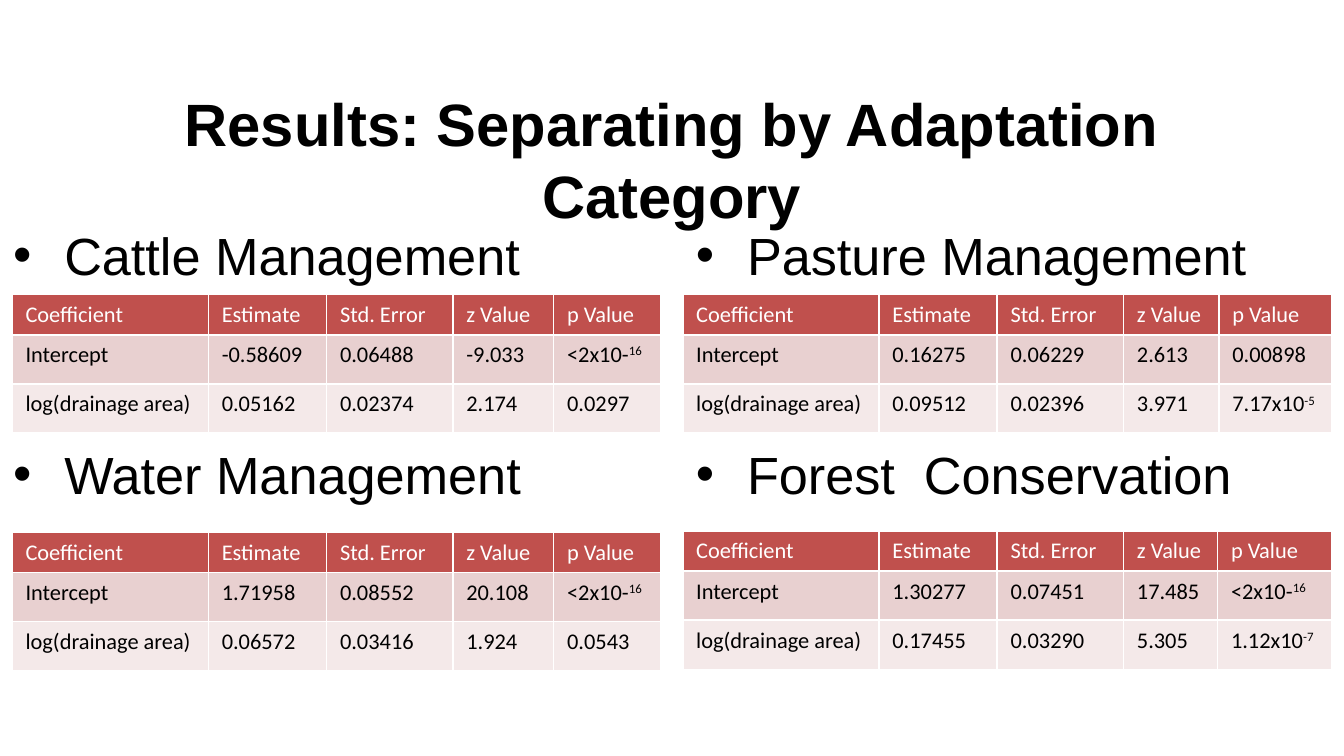
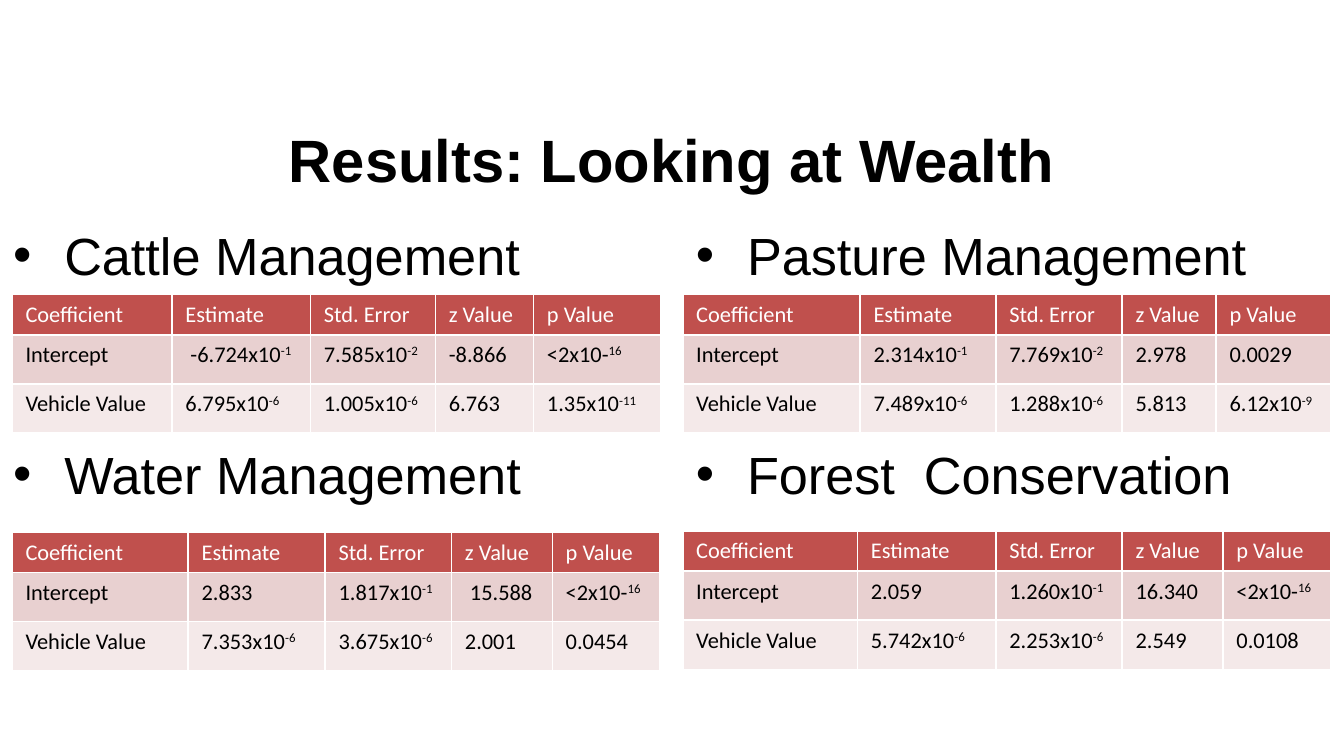
from dataclasses import dataclass

import pptx
import pptx.dml.color
import pptx.enum.text
import pptx.oxml
import pptx.oxml.ns
import pptx.presentation
import pptx.slide
import pptx.table
import pptx.text.text
import pptx.util

Inches = pptx.util.Inches
Pt = pptx.util.Pt


@dataclass(frozen=True)
class Theme:
    ink: str = "000000"
    white: str = "FFFFFF"
    header: str = "C0504D"
    bands: tuple[str, ...] = ("E8D0D0", "F4E9E9")
    heading_font: str = "Arial"
    table_font: str = "Calibri"
    title_size: int = 32
    heading_size: int = 28
    table_size: int = 12
    border: int = 1


@dataclass(frozen=True)
class Box:
    left: float
    top: float
    width: float
    height: float


@dataclass(frozen=True)
class HeadingPair:
    box: Box
    headings: tuple[str, str]


@dataclass(frozen=True)
class ModelTable:
    widths: tuple[float, ...]
    intercept: tuple[str, ...]
    slope: tuple[str, ...]


@dataclass(frozen=True)
class ResultSlide:
    title: str
    predictor: str
    tables: tuple[ModelTable, ...]


THEME = Theme()
SLIDE_WIDTH = 10
TITLE_BOX = Box(0.5, 0.74, 9, 0.88)
HEADING_PAIRS = (
    HeadingPair(Box(0, 1.61, 4.92, 3.41), ("Cattle Management", "Water Management")),
    HeadingPair(Box(5.08, 1.61, 4.58, 3.41), ("Pasture Management", "Forest  Conservation")),
)
HEADING_GAP = 84
TABLE_BOXES = tuple(
    Box(left, top, 4.82, 1.03)
    for left, top in ((0.09, 2.19), (5.08, 2.19), (0.09, 3.96), (5.08, 3.95))
)
HEADER_HEIGHT = 0.3
COLUMNS = ("Coefficient", "Estimate", "Std. Error", "z Value", "p Value")

RESULTS = (
    ResultSlide(
        "Results: Separating by Adaptation Category",
        "log(drainage area)",
        (
            ModelTable(
                (1.46, 0.88, 0.94, 0.75, 0.8),
                ("-0.58609", "0.06488", "-9.033", "<2x10-^16"),
                ("0.05162", "0.02374", "2.174", "0.0297"),
            ),
            ModelTable(
                (1.46, 0.88, 0.94, 0.71, 0.84),
                ("0.16275", "0.06229", "2.613", "0.00898"),
                ("0.09512", "0.02396", "3.971", "7.17x10^-5"),
            ),
            ModelTable(
                (1.46, 0.88, 0.94, 0.75, 0.8),
                ("1.71958", "0.08552", "20.108", "<2x10-^16"),
                ("0.06572", "0.03416", "1.924", "0.0543"),
            ),
            ModelTable(
                (1.46, 0.88, 0.94, 0.7, 0.85),
                ("1.30277", "0.07451", "17.485", "<2x10-^16"),
                ("0.17455", "0.03290", "5.305", "1.12x10^-7"),
            ),
        ),
    ),
    ResultSlide(
        "Results: Looking at Wealth",
        "Vehicle Value",
        (
            ModelTable(
                (1.19, 1.03, 0.93, 0.73, 0.95),
                (" -6.724x10^-1", "7.585x10^-2", "-8.866", "<2x10-^16"),
                ("6.795x10^-6", "1.005x10^-6", "6.763", "1.35x10^-11"),
            ),
            ModelTable(
                (1.32, 1.01, 0.94, 0.7, 0.85),
                ("2.314x10^-1", "7.769x10^-2", "2.978", "0.0029"),
                ("7.489x10^-6", "1.288x10^-6", "5.813", "6.12x10^-9"),
            ),
            ModelTable(
                (1.31, 1.02, 0.94, 0.75, 0.8),
                ("2.833", "1.817x10^-1", " 15.588", "<2x10-^16"),
                ("7.353x10^-6", "3.675x10^-6", "2.001", "0.0454"),
            ),
            ModelTable(
                (1.3, 1.03, 0.94, 0.75, 0.8),
                ("2.059", "1.260x10^-1", "16.340", "<2x10-^16"),
                ("5.742x10^-6", "2.253x10^-6", "2.549", "0.0108"),
            ),
        ),
    ),
)


def rgb(color: str) -> pptx.dml.color.RGBColor:
    return pptx.dml.color.RGBColor.from_string(color)


def place(box: Box) -> tuple[pptx.util.Length, ...]:
    return Inches(box.left), Inches(box.top), Inches(box.width), Inches(box.height)


def format_runs(
    paragraph: pptx.text.text._Paragraph, font: str, size: int, color: str, bold: bool = False
) -> None:
    for run in paragraph.runs:
        run.font.name = font
        run.font.size = Pt(size)
        run.font.bold = bold
        run.font.color.rgb = rgb(color)


def add_title(slide: pptx.slide.Slide, title: str) -> None:
    text_frame = slide.shapes.add_textbox(*place(TITLE_BOX)).text_frame
    text_frame.word_wrap = True
    text_frame.vertical_anchor = pptx.enum.text.MSO_ANCHOR.MIDDLE
    text_frame.text = title
    paragraph = text_frame.paragraphs[0]
    paragraph.alignment = pptx.enum.text.PP_ALIGN.CENTER
    format_runs(paragraph, THEME.heading_font, THEME.title_size, THEME.ink, bold=True)


def add_bullet(paragraph: pptx.text.text._Paragraph) -> None:
    properties = paragraph._p.get_or_add_pPr()
    indent = Inches(0.38)
    properties.set("marL", str(indent))
    properties.set("indent", str(-indent))
    for tag, attribute, value in (
        ("a:buFont", "typeface", THEME.heading_font),
        ("a:buChar", "char", "•"),
    ):
        element = pptx.oxml.ns.qn(tag)
        properties.append(properties.makeelement(element, {attribute: value}))


def add_headings(slide: pptx.slide.Slide, pair: HeadingPair) -> None:
    text_frame = slide.shapes.add_textbox(*place(pair.box)).text_frame
    text_frame.word_wrap = True
    text_frame.text = "\n".join(pair.headings)
    for index, paragraph in enumerate(text_frame.paragraphs):
        add_bullet(paragraph)
        paragraph.space_before = Pt(HEADING_GAP * index)
        format_runs(paragraph, THEME.heading_font, THEME.heading_size, THEME.ink)


def set_borders(cell: pptx.table._Cell) -> None:
    properties = cell._tc.get_or_add_tcPr()
    for side in "LRTB":
        line = pptx.oxml.parse_xml(
            f'<a:ln{side} {pptx.oxml.ns.nsdecls("a")} w="{Pt(THEME.border)}"><a:solidFill>'
            f'<a:srgbClr val="{THEME.white}"/></a:solidFill></a:ln{side}>'
        )
        properties.append(line)


def fill_cell(cell: pptx.table._Cell, text: str, row: int) -> None:
    is_header = row == 0
    set_borders(cell)
    cell.fill.solid()
    cell.fill.fore_color.rgb = rgb(THEME.header if is_header else THEME.bands[row - 1])
    base, _, exponent = text.partition("^")
    cell.text_frame.text = base
    paragraph = cell.text_frame.paragraphs[0]
    if exponent:
        run = paragraph.add_run()
        run.text = exponent
        run._r.get_or_add_rPr().set("baseline", "30000")
    color = THEME.white if is_header else THEME.ink
    format_runs(paragraph, THEME.table_font, THEME.table_size, color)


def add_model_table(
    slide: pptx.slide.Slide, box: Box, predictor: str, model: ModelTable
) -> None:
    rows = (COLUMNS, ("Intercept", *model.intercept), (predictor, *model.slope))
    table = slide.shapes.add_table(len(rows), len(COLUMNS), *place(box)).table
    for column, width in zip(table.columns, model.widths):
        column.width = Inches(width)
    body_height = (box.height - HEADER_HEIGHT) / (len(rows) - 1)
    for row, texts in enumerate(rows):
        table.rows[row].height = Inches(body_height if row else HEADER_HEIGHT)
        for column, text in enumerate(texts):
            fill_cell(table.cell(row, column), text, row)


def add_result_slide(
    presentation: pptx.presentation.Presentation, result: ResultSlide
) -> None:
    slide = presentation.slides.add_slide(presentation.slide_layouts[6])
    add_title(slide, result.title)
    for pair in HEADING_PAIRS:
        add_headings(slide, pair)
    for box, model in zip(TABLE_BOXES, result.tables):
        add_model_table(slide, box, result.predictor, model)


def main() -> None:
    presentation = pptx.Presentation()
    presentation.slide_width = Inches(SLIDE_WIDTH)
    presentation.slide_height = Inches(SLIDE_WIDTH * 9 / 16)
    for result in RESULTS:
        add_result_slide(presentation, result)
    presentation.save("out.pptx")


if __name__ == "__main__":
    main()
